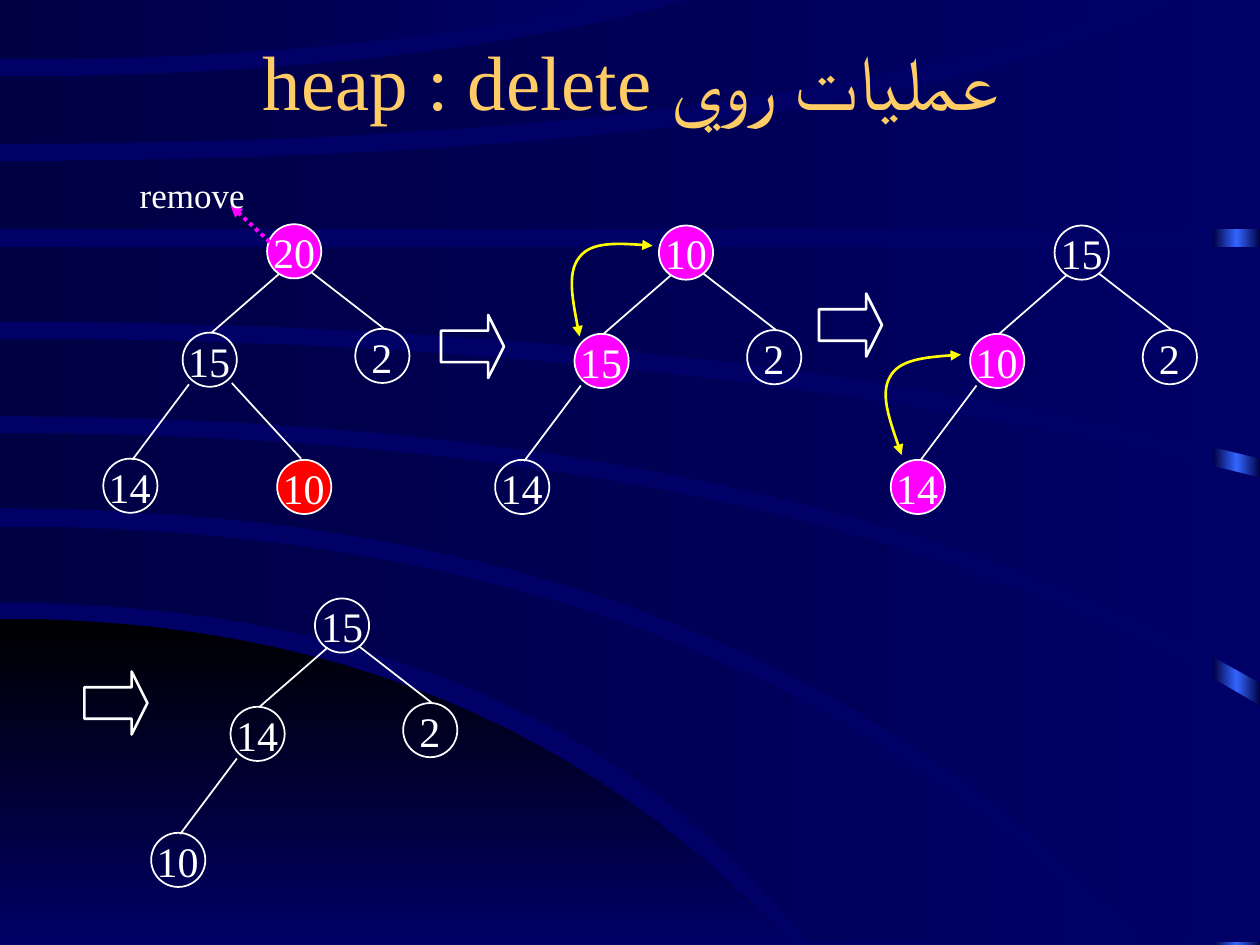
from dataclasses import dataclass
from lxml import etree
from pptx import Presentation
from pptx.dml.color import RGBColor
from pptx.enum.dml import MSO_LINE
from pptx.enum.shapes import MSO_CONNECTOR, MSO_SHAPE
from pptx.enum.text import MSO_ANCHOR, MSO_AUTO_SIZE, PP_ALIGN
from pptx.oxml.ns import qn
from pptx.util import Inches, Pt

OVAL, RECT, ARROW = MSO_SHAPE.OVAL, MSO_SHAPE.RECTANGLE, MSO_SHAPE.RIGHT_ARROW
LINE, DOTS = MSO_CONNECTOR.STRAIGHT, MSO_LINE.ROUND_DOT
LEFT, MID = PP_ALIGN.LEFT, PP_ALIGN.CENTER
TOP, CORE = MSO_ANCHOR.TOP, MSO_ANCHOR.MIDDLE
GROW, FIXED = MSO_AUTO_SIZE.SHAPE_TO_FIT_TEXT, MSO_AUTO_SIZE.NONE


@dataclass(frozen=True)
class Theme:
    """Colours, font and type sizes of the slide."""
    font: str = "Times New Roman"
    base: str = "000066"
    deep: str = "000044"
    black: str = "000000"
    glow: str = "3366FF"
    gold: str = "FFCC66"
    white: str = "FFFFFF"
    pink: str = "FF00FF"
    red: str = "FF0000"
    yellow: str = "FFFF00"
    title: int = 44
    label: int = 24
    note: int = 20


T = Theme()
NODE = 0.43
ROOT, KID, RIGHT, LEAF, LAST = (1.3, 0), (0.63, 0.86), (2, 0.83), (0, 1.86), (1.38, 1.87)
EDGES = [(1.4, 0.39, 0.86, 0.86), (0.68, 1.27, 0.23, 1.87), (1.65, 0.38, 2.23, 0.83)]
LAST_EDGE = (1.02, 1.26, 1.57, 1.86)
SWAP = [(0.68, 0.03), (0.44, 0.01), (0.19, 0), (0.1, 0.12), (0, 0.24), (0.05, 0.49), (0.1, 0.75)]
CORNER = (4.91, 3.9, 6.28, 7.5), (7.5, 3, 6.28, 7.5)
BANDS = [
    ((4.78, 4.23, 6.42, 7.48), (4.18, 5.75, 8.93, 7.48)),
    ((4.03, 5.89, 9.09, 7.48), (3.44, 6.4, 10, 5.6)),
    ((3.3, 6.3, 10, 5.42), (2.69, 5.56, 10, 3.79)),
    ((2.55, 5.66, 10, 3.64), (1.96, 5, 10, 1.96)),
    ((1.82, 5, 10, 1.82), (1.28, 6.7, 9.4, 0)),
    ((1.14, 6.1, 9.13, 0), (0.61, 3.26, 5.49, 0)),
    ((0.47, 2.94, 4.92, 0), (0, 2.5, 4.92, 0)),
]


def rgb(code):
    """Turn a hex code into a colour."""
    return RGBColor.from_string(code)


def text(shape, words, size=T.label, color=T.white, align=LEFT, anchor=TOP,
         wrap=False, fit=FIXED, rtl=False):
    """Write one formatted paragraph into a shape."""
    frame = shape.text_frame
    frame.word_wrap, frame.auto_size, frame.vertical_anchor = wrap, fit, anchor
    para = frame.paragraphs[0]
    para.alignment = align
    if rtl:
        para._p.get_or_add_pPr().set("rtl", "1")
    run = para.add_run()
    run.text = words
    run.font.name, run.font.size, run.font.color.rgb = T.font, Pt(size), rgb(color)
    etree.SubElement(run.font._element, qn("a:cs"), typeface=T.font)


def label(slide, words, x, y, w, h, **style):
    """Add a text box at the given place."""
    text(slide.shapes.add_textbox(*map(Inches, (x, y, w, h))), words, **style)


def stroke(shape, color=T.white, width=1.0, ends=()):
    """Style an outline and its arrowheads."""
    shape.line.color.rgb, shape.line.width = rgb(color), Pt(width)
    for end in ends:
        etree.SubElement(shape.line._get_or_add_ln(), qn("a:" + end), type="triangle")


def shade(shape, angle, *colors):
    """Fill a shape with an even gradient and no outline."""
    shape.shadow.inherit = False
    shape.line.fill.background()
    shape.fill.gradient()
    shape.fill.gradient_angle = angle
    stops = shape._element.spPr.find(".//" + qn("a:gsLst"))
    for stop in list(stops):
        stops.remove(stop)
    for i, color in enumerate(colors):
        stop = etree.SubElement(stops, qn("a:gs"), pos=str(100000 * i // (len(colors) - 1)))
        etree.SubElement(stop, qn("a:srgbClr"), val=color)


def outline(slide, x, y, points, close=True):
    """Build a freeform whose points are relative to x, y."""
    spots = [(Inches(x + px), Inches(y + py)) for px, py in points]
    pen = slide.shapes.build_freeform(*spots[0])
    pen.add_line_segments(spots[1:], close=close)
    return pen.convert_to_shape()


def arc(start, bend, right, end, count=24):
    """Sample a curve that leaves the left edge level and bends to its end."""
    rates = [i / count for i in range(count + 1)]
    return [(2 * t * (1 - t) * bend + t * t * right, start + t * t * (end - start))
            for t in rates]


def sweep(slide, x, y, low, high):
    """Build the band between two arcs, squared off at its right end."""
    tips = low[2:], high[2:]
    turn = max(tips)[0], min(tips)[1]
    return outline(slide, x, y, arc(*low) + [turn] + arc(*high)[::-1])


def solid(slide, kind, x, y, w, h, fill=None, width=1.0):
    """Add a preset shape with a white outline."""
    shape = slide.shapes.add_shape(kind, *map(Inches, (x, y, w, h)))
    shape.shadow.inherit = False
    if fill:
        shape.fill.solid()
        shape.fill.fore_color.rgb = rgb(fill)
    else:
        shape.fill.background()
    stroke(shape, width=width)
    return shape


def link(slide, x, y, ends):
    """Add a straight line relative to x, y."""
    x1, y1, x2, y2 = ends
    line = slide.shapes.add_connector(LINE, *map(Inches, (x + x1, y + y1, x + x2, y + y2)))
    etree.SubElement(line._element.spPr, qn("a:effectLst"))
    stroke(line)
    return line


def swap(slide, x, y, turn=0):
    """Draw a curved arrow with two heads."""
    shape = outline(slide, x, y, SWAP, close=False)
    shape.shadow.inherit = False
    shape.fill.background()
    stroke(shape, T.yellow, 1.5, ("headEnd", "tailEnd"))
    shape.rotation = turn
    parts = shape._element.spPr.findall(".//" + qn("a:lnTo"))
    for i in range(0, len(parts), 3):
        curve = etree.Element(qn("a:cubicBezTo"))
        parts[i].addprevious(curve)
        for part in parts[i:i + 3]:
            curve.append(part[0])
            part.getparent().remove(part)


def tree(slide, x, y, names, fills):
    """Draw a heap of four or five nodes in its box."""
    for ends in EDGES + [LAST_EDGE] * (len(names) > 4):
        link(slide, x, y, ends)
    for (dx, dy), name, fill in zip((ROOT, KID, RIGHT, LEAF, LAST), names, fills):
        left, top = x + dx, y + dy
        node = solid(slide, OVAL, left, top, NODE, NODE, fill)
        if (dx, dy) == ROOT:
            text(node, name, align=MID, anchor=CORE)
        else:
            wide = 0.54 if len(name) > 1 else 0.37
            label(slide, name, left + (NODE - wide) / 2, top - 0.03, wide, 0.5, fit=GROW)


def backdrop(slide, x, y, w, h):
    """Paint the ground, the side strip and the sweeping bands."""
    slide.background.fill.solid()
    slide.background.fill.fore_color.rgb = rgb(T.base)
    strip = solid(slide, RECT, x + w - 0.37, y, 0.37, h)
    shade(strip, 180, T.deep, T.glow, T.deep)
    shade(sweep(slide, x, y, *CORNER), 270, T.black, T.base)
    for band in BANDS:
        shade(sweep(slide, x, y, *band), 180, T.base, T.deep)


def stages(slide, x, y):
    """Lay out the four heaps and the arrows between them."""
    tree(slide, x, y, ("20", "15", "2", "14", "10"), (T.pink, None, None, None, T.red))
    tree(slide, x + 3.11, y + 0.01, ("10", "15", "2", "14"), (T.pink, T.pink, None, None))
    tree(slide, x + 6.25, y + 0.01, ("15", "10", "2", "14"), (None, T.pink, None, T.pink))
    tree(slide, x + 0.38, y + 2.97, ("15", "14", "2", "10"), (None,) * 4)
    pull = link(slide, x, y, (1.32, 0.14, 1.01, -0.15))
    pull.line.dash_style = DOTS
    stroke(pull, T.pink, 2.25, ("tailEnd",))
    label(slide, "remove", x + 0.19, y - 0.45, 1.04, 0.43, size=T.note, fit=GROW)
    swap(slide, x + 3.68, y + 0.14)
    swap(slide, x + 6.18, y + 1.05, 351.8)
    for dx, dy in ((2.68, 0.72), (5.68, 0.55), (-0.15, 3.55)):
        arrow = solid(slide, ARROW, x + dx, y + dy, 0.5, 0.5, width=1.5)
        arrow.adjustments[0], arrow.adjustments[1] = 0.5, 0.25


def main():
    """Build and save the slide."""
    deck = Presentation()
    deck.slide_width, deck.slide_height = Inches(10), Inches(7.5)
    slide = deck.slides.add_slide(deck.slide_layouts[6])
    backdrop(slide, 0, 0, 10, 7.5)
    label(slide, "عمليات روي heap : delete", 0.75, 0.17, 8.5, 0.92, size=T.title,
          color=T.gold, align=MID, anchor=CORE, wrap=True, rtl=True)
    stages(slide, 0.82, 1.78)
    deck.save("out.pptx")


if __name__ == "__main__":
    main()
